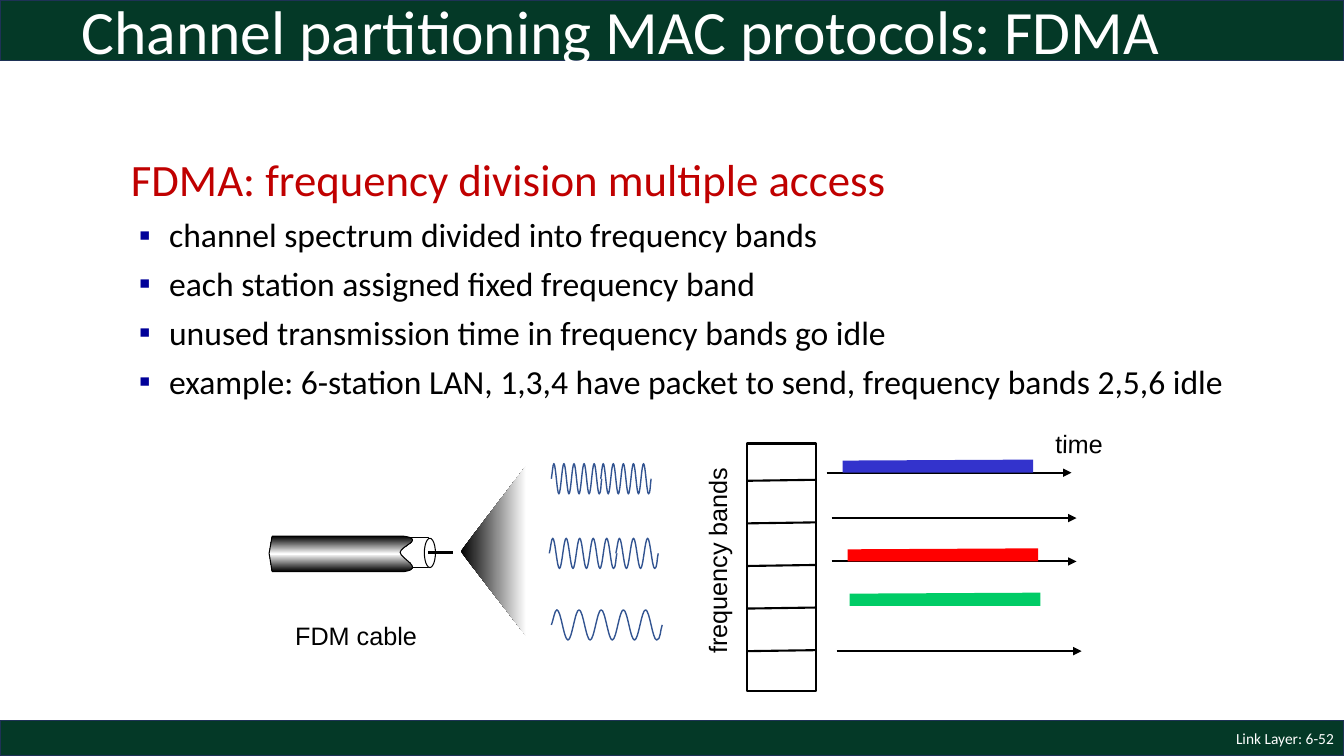
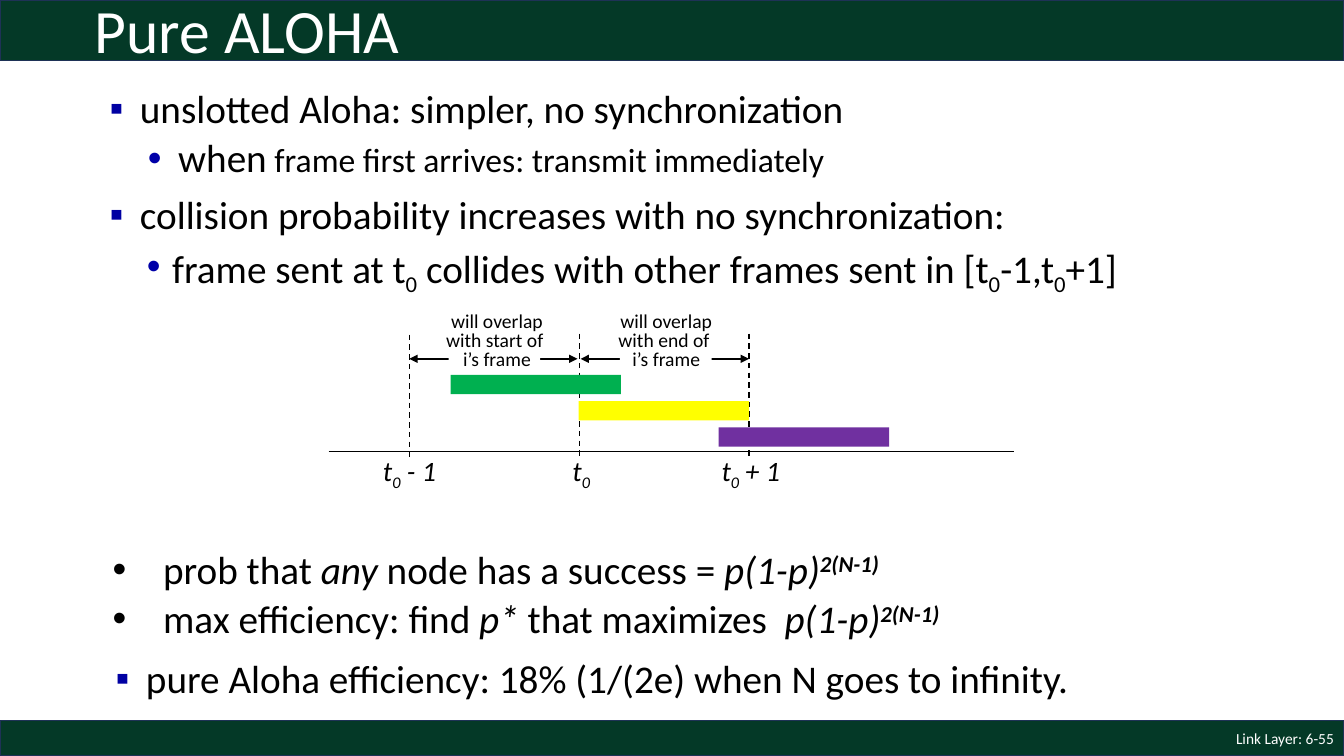
"""Builds two lecture slides on FDMA and pure ALOHA."""
from lxml.etree import SubElement
from pptx import Presentation
from pptx.dml.color import RGBColor
from pptx.enum.dml import MSO_LINE
from pptx.enum.shapes import MSO_CONNECTOR, MSO_SHAPE
from pptx.enum.text import MSO_ANCHOR, MSO_AUTO_SIZE, PP_ALIGN
from pptx.oxml.ns import qn
from pptx.util import Inches, Pt

W, H = 40 / 3, 7.5
BLACK = RGBColor(0x00, 0x00, 0x00)
WHITE = RGBColor(0xFF, 0xFF, 0xFF)
BAND = RGBColor(0x04, 0x39, 0x27)
BAND_EDGE = RGBColor(0x1E, 0x32, 0x56)
CRIMSON = RGBColor(0xC0, 0x00, 0x00)
NAVY = RGBColor(0x00, 0x00, 0x99)
ITEM_BLUE = RGBColor(0x00, 0x00, 0xA3)
SUBITEM_BLUE = RGBColor(0x00, 0x00, 0xA8)
WAVE = RGBColor(0x32, 0x54, 0x91)
BLUE = RGBColor(0x33, 0x33, 0xCC)
RED = RGBColor(0xFF, 0x00, 0x00)
MINT = RGBColor(0x00, 0xCC, 0x66)
GREEN = RGBColor(0x00, 0xB0, 0x50)
YELLOW = RGBColor(0xFF, 0xFF, 0x00)
PURPLE = RGBColor(0x70, 0x30, 0xA0)

HEADING = dict(indent=(0.38, -0.38), spacing=0.85, before=6.4)
POINT = dict(indent=(0.38, -0.3), before=6, bullet="▪", bullet_color=NAVY)
ITEM = dict(indent=(0.44, -0.3), spacing=0.9, before=10, bullet="▪", bullet_color=ITEM_BLUE)
SUBITEM = dict(indent=(0.82, -0.3), spacing=0.9, before=5, bullet="•",
               bullet_color=SUBITEM_BLUE, level=1)
SUBITEM_TIGHT = {**SUBITEM, "indent": (0.76, -0.25)}
FORMULA = dict(indent=(1.07, -0.5), bullet="•", level=1)
CENTERED = dict(align=PP_ALIGN.CENTER, spacing=0.8)

SUB0 = ("0", dict(base=-25))
SUCCESS = [("p(1-p)", dict(italic=True)), ("2(N-1)", dict(italic=True, bold=True, base=30))]

FDMA_TEXT = [(HEADING, [("FDMA: frequency division multiple access",
                         dict(size=32, color=CRIMSON))])] + [
    (POINT, [t]) for t in (
        "channel spectrum divided into frequency bands",
        "each station assigned fixed frequency band",
        "unused transmission time in frequency bands go idle",
        "example: 6-station LAN, 1,3,4 have packet to send, frequency bands 2,5,6 idle")]
TIME_ARROWS = [(8.2, 4.69), (8.25, 5.14), (8.25, 5.57), (8.3, 6.46)]
PACKETS = [(8.36, 4.56, BLUE), (8.41, 5.44, RED), (8.43, 5.88, MINT)]
WAVES = [(5.47, 6.2, 1.1, 5), (5.47, 4.75, 0.5, 5), (5.96, 4.75, 0.5, 5),
         (5.45, 5.49, 0.67, 5), (6.11, 5.49, 0.42, 3)]
FDMA_LABELS = [("frequency bands", (6.09, 5.36, 2.05, 0.4), 270),
               ("time", (10.37, 4.2, 0.67, 0.4), 1.1),
               ("FDM cable", (2.83, 6.1, 1.41, 0.4), 0)]

ALOHA_TEXT = [
    (ITEM, ["unslotted Aloha: simpler, no synchronization"]),
    (SUBITEM, ["when", (" frame first arrives: transmit immediately", dict(size=24))]),
    (ITEM, ["collision probability increases with no synchronization:"]),
    (SUBITEM_TIGHT, ["frame sent at t", SUB0, " collides with other frames sent in [t",
                     SUB0, "-1,t", SUB0, "+1]"])]
FORMULAS = [
    (5.36, ["prob that ", ("any", dict(italic=True)), " node has a success = "] + SUCCESS),
    (5.85, ["max efficiency: find ", ("p* ", dict(italic=True)), "that maximizes  "] + SUCCESS)]
EFFICIENCY = "pure Aloha efficiency: 18% (1/(2e) when N goes to infinity."
TICKS = [(7.43, 3.31, 7.06, 0.8, " + 1"), (5.75, 3.31, 5.58, 0.39, ""),
         (4.06, 3.32, 3.7, 0.75, " - 1")]
OVERLAPS = [(4.06, 4.32, 1.22, "with start of "), (5.76, 6.03, 1.16, "with end of ")]
FRAMES = [(4.47, GREEN), (5.74, YELLOW), (7.13, PURPLE)]


def fill_text(tf, paras, size=18, color=BLACK, font="Calibri"):
    """Write (style, runs) paragraphs into a text frame."""
    for i, (style, runs) in enumerate(paras):
        p = tf.paragraphs[0] if i == 0 else tf.add_paragraph()
        p.alignment = style.get("align", PP_ALIGN.LEFT)
        p.level = style.get("level", 0)
        p.line_spacing = style.get("spacing")
        p.space_before = Pt(style.get("before", 0))
        pPr = p._p.get_or_add_pPr()
        left, first = style.get("indent", (0, 0))
        pPr.set("marL", str(Inches(left)))
        pPr.set("indent", str(Inches(first)))
        if "bullet" in style:
            if "bullet_color" in style:
                clr = SubElement(pPr, qn("a:buClr"))
                SubElement(clr, qn("a:srgbClr"), val=str(style["bullet_color"]))
            SubElement(pPr, qn("a:buFont"), typeface="Arial")
            SubElement(pPr, qn("a:buChar"), char=style["bullet"])
        for run in runs:
            words, fmt = (run, {}) if isinstance(run, str) else run
            r = p.add_run()
            r.text = words
            r.font.name = font
            r.font.size = Pt(fmt.get("size", size))
            r.font.color.rgb = fmt.get("color", color)
            r.font.italic = fmt.get("italic", False)
            r.font.bold = fmt.get("bold", False)
            if "base" in fmt:
                r._r.get_or_add_rPr().set("baseline", str(fmt["base"] * 1000))


def add_text(s, box, paras, wrap=True, anchor=MSO_ANCHOR.TOP, rotation=0, **fmt):
    """Add a text box; fmt holds size, color and font."""
    sp = s.shapes.add_textbox(*map(Inches, box))
    sp.rotation = rotation
    tf = sp.text_frame
    tf.word_wrap = wrap
    tf.vertical_anchor = anchor
    fill_text(tf, paras, **fmt)


def paint(sp, fill=None, line=None, width=1):
    """Set fill and outline and drop the shadow."""
    sp.shadow.inherit = False
    if fill is None:
        sp.fill.background()
    else:
        sp.fill.solid()
        sp.fill.fore_color.rgb = fill
    if line is None:
        sp.line.fill.background()
    else:
        sp.line.color.rgb = line
        sp.line.width = Pt(width)
    return sp


def add_box(s, box, fill, line=None, width=1, shape=MSO_SHAPE.RECTANGLE):
    """Add a painted preset shape."""
    return paint(s.shapes.add_shape(shape, *map(Inches, box)), fill, line, width)


def add_outline(s, start, segments, fill=None, line=None, width=1, close=True):
    """Add a freeform; a segment of one point is straight, of three a cubic curve."""
    builder = s.shapes.build_freeform(*map(Inches, start))
    builder.add_line_segments([tuple(map(Inches, seg[-1])) for seg in segments], close=close)
    sp = builder.convert_to_shape()
    path = sp._element.spPr.find(".//" + qn("a:path"))
    for straight, seg in zip(path.findall(qn("a:lnTo")), segments):
        if len(seg) == 3:
            curve = SubElement(path, qn("a:cubicBezTo"))
            for x, y in seg:
                SubElement(curve, qn("a:pt"), x=str(Inches(x) - sp.left),
                           y=str(Inches(y) - sp.top))
            path.replace(straight, curve)
    return paint(sp, fill, line, width)


def add_line(s, x1, y1, x2, y2, width=1.0, dash=False, head=False, tail=False):
    """Add a straight black line, with optional arrowheads."""
    c = s.shapes.add_connector(MSO_CONNECTOR.STRAIGHT, *map(Inches, (x1, y1, x2, y2)))
    c.line.color.rgb = BLACK
    c.line.width = Pt(width)
    if dash:
        c.line.dash_style = MSO_LINE.DASH
    ln = c.line._get_or_add_ln()
    for wanted, tag in ((head, "a:headEnd"), (tail, "a:tailEnd")):
        if wanted:
            SubElement(ln, qn(tag), type="triangle")
    SubElement(c._element.spPr, qn("a:effectLst"))


def set_gradient(sp, colors, angle):
    """Fill a shape with evenly spaced gradient colours."""
    sp.fill.gradient()
    sp.fill.gradient_angle = angle
    stops = sp._element.spPr.find(".//" + qn("a:gsLst"))
    for gs in list(stops):
        stops.remove(gs)
    for i, color in enumerate(colors):
        gs = SubElement(stops, qn("a:gs"), pos=str(100000 * i // (len(colors) - 1)))
        SubElement(gs, qn("a:srgbClr"), val=str(color))


def add_wave(s, x, mid, width, cycles):
    """Draw a sine-like wave, one curve between neighbouring extremes."""
    period, rise = width / cycles, 0.15
    pull = 0.18 * period
    peaks = [(x + period * (0.25 + i / 2), mid - rise * (-1) ** i) for i in range(2 * cycles)]
    (fx, fy), (lx, ly) = peaks[0], peaks[-1]
    end = x + width
    segments = [[(x + pull / 2, mid - rise / 3), (fx - pull / 2, fy), (fx, fy)]]
    for (ax, ay), (bx, by) in zip(peaks, peaks[1:]):
        segments.append([(ax + pull, ay), (bx - pull, by), (bx, by)])
    segments.append([(lx + pull, ly), (end - pull / 2, mid + rise / 3), (end, mid)])
    add_outline(s, (x, mid), segments, line=WAVE, close=False)


def set_up_layout(layout, s):
    """Leave the title on the layout and give it the two bands."""
    for ph in list(layout.placeholders):
        if ph.placeholder_format.idx:
            ph.element.getparent().remove(ph.element)
    for y, h in ((0, 0.6), (H - 0.35, 0.35)):
        layout.shapes.element.append(add_box(s, (0, y, W, h), BAND, BAND_EDGE).element)


def new_slide(prs, title, left, top, number):
    """Add a slide with title and footer."""
    layout = prs.slide_layouts[5]
    s = prs.slides.add_slide(layout)
    if len(prs.slides) == 1:
        set_up_layout(layout, s)
    add_text(s, (W - 3, H - 0.35, 3, 0.35),
             [(dict(align=PP_ALIGN.RIGHT), [f"Link Layer: 6-{number}"])],
             anchor=MSO_ANCHOR.MIDDLE, size=11, color=WHITE)
    sp = s.shapes.title
    sp.left, sp.top, sp.width, sp.height = map(Inches, (left, top, 11.5, 0.98))
    tf = sp.text_frame
    tf.auto_size = MSO_AUTO_SIZE.NONE
    tf.vertical_anchor = MSO_ANCHOR.MIDDLE
    fill_text(tf, [(dict(spacing=0.9), [title])], size=44, color=WHITE)
    return s


def draw_cable(s):
    """Draw the cable and the cone that opens to the waves."""
    cone = add_outline(s, (5.22, 4.62), [[(4.57, 5.47)], [(5.22, 6.31)]])
    set_gradient(cone, [BLACK, WHITE], 0)
    add_box(s, (3.96, 5.33, 0.29, 0.3), WHITE, BLACK, 0.75)
    sheath = add_outline(s, (2.7, 5.32), [
        [(2.67, 5.49)], [(2.7, 5.67)], [(4.01, 5.67)],
        [(4.22, 5.64), (3.97, 5.54), (3.97, 5.48)],
        [(3.97, 5.42), (4.22, 5.35), (4.01, 5.32)]], line=BLACK, width=0.75)
    set_gradient(sheath, [BLACK, WHITE, BLACK], 90)
    add_box(s, (4.21, 5.34, 0.11, 0.29), WHITE, BLACK, 0.75, MSO_SHAPE.OVAL)
    add_line(s, 4.25, 5.48, 4.49, 5.48, 2.25)


def build_fdma(prs):
    """Build the FDMA slide."""
    s = new_slide(prs, "Channel partitioning MAC protocols: FDMA", 0.71, -0.15, 52)
    add_text(s, (1.2, 1.54, 11.44, 2.62), FDMA_TEXT, size=24)
    add_box(s, (7.41, 4.4, 0.69, 2.46), WHITE, BLACK, 1.5)
    for row in range(5):
        y = 4.77 + (6.46 - 4.77) / 4 * row
        add_line(s, 7.41, y, 8.09, y - 0.01, 1.5)
    for x, y in TIME_ARROWS:
        add_line(s, x, y, x + 2.43, y, 1.5, tail=True)
    for x, y, color in PACKETS:
        right, bottom = x + 1.89, y + 0.13
        add_outline(s, (x, bottom), [[(x, y + 0.01)], [(right, y)], [(right, bottom)]],
                    color, close=False)
    draw_cable(s)
    for wave in WAVES:
        add_wave(s, *wave)
    for label, box, rotation in FDMA_LABELS:
        add_text(s, box, [({}, [label])], wrap=False, rotation=rotation, font="Arial")


def build_aloha(prs):
    """Build the pure ALOHA slide."""
    s = new_slide(prs, "Pure ALOHA", 0.84, -0.16, 55)
    add_text(s, (0.85, 0.84, 11.5, 2.53), ALOHA_TEXT, size=28)
    for x, *_ in OVERLAPS:
        add_line(s, x, 3.56, x + 1.67, 3.56, head=True, tail=True)
        add_box(s, (x + 0.39, 3.52, 0.91, 0.06), WHITE)
    add_line(s, 3.26, 4.48, 10.06, 4.48)
    for x, top, left, width, suffix in TICKS:
        add_line(s, x, top, x, top + 1.21, dash=True)
        runs = [(t, dict(italic=True, **f)) for t, f in (("t", {}), SUB0, (suffix, {})) if t]
        add_text(s, (left, 4.45, width, 0.44), [({}, runs)], wrap=False, size=20)
    for i, (x, color) in enumerate(FRAMES):
        add_box(s, (x, 3.72 + 0.26 * i, 1.69, 0.19), color)
    for _, left, width, middle in OVERLAPS:
        add_text(s, (left, 3.06, width, 0.67),
                 [(CENTERED, [t]) for t in ("will overlap", middle, "i’s frame")],
                 wrap=False, size=14)
    for y, runs in FORMULAS:
        add_text(s, (0.45, y, 11.79, 0.57), [(FORMULA, runs)], size=28)
    add_text(s, (0.91, 6.49, 11.5, 0.68), [(ITEM, [EFFICIENCY])], size=28)


def main():
    """Build and save the slides."""
    prs = Presentation()
    prs.slide_width, prs.slide_height = Inches(W), Inches(H)
    build_fdma(prs)
    build_aloha(prs)
    prs.save("out.pptx")


if __name__ == "__main__":
    main()
